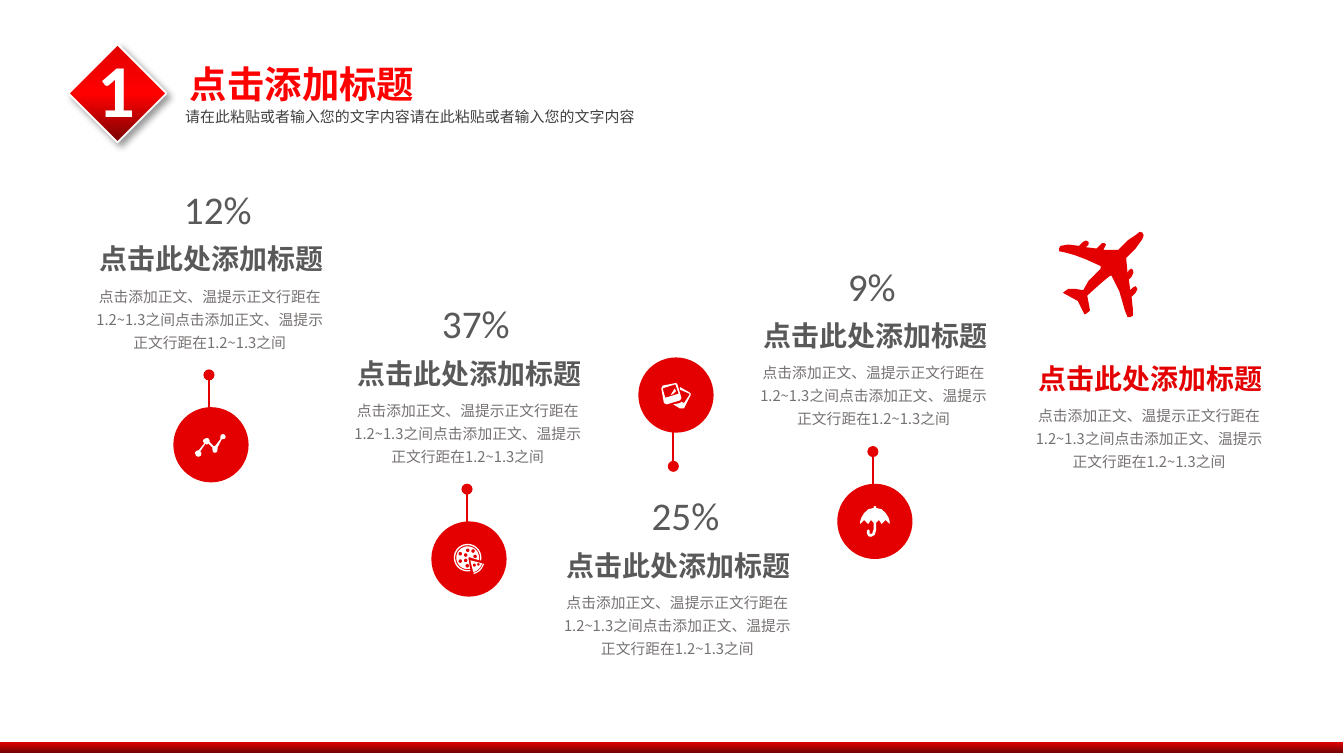
from dataclasses import dataclass
from math import cos, radians, sin

from pptx import Presentation
from pptx.dml.color import RGBColor
from pptx.enum.shapes import MSO_CONNECTOR, MSO_SHAPE
from pptx.enum.text import MSO_ANCHOR, PP_ALIGN
from pptx.oxml import parse_xml
from pptx.oxml.ns import nsdecls, qn
from pptx.util import Inches, Pt


@dataclass(frozen=True)
class Theme:
    red: str = "E40000"
    bright: str = "FF0000"
    light_end: str = "E30000"
    dark_end: str = "760303"
    white: str = "FFFFFF"
    ink: str = "404040"
    heading: str = "595959"
    muted: str = "767171"
    latin: str = "Calibri"
    cjk: str = "Noto Sans CJK SC"
    badge_size: float = 40
    title_size: float = 20
    number_size: float = 21
    heading_size: float = 15
    subtitle_size: float = 8
    body_size: float = 7.9
    body_pitch: float = 12.3


THEME = Theme()
WIDTH = Inches(10)
HEIGHT = WIDTH * 9 // 16
CELL = WIDTH // 100  # the page is a grid of 100 columns of square cells
FINE = 100  # freeform steps per icon unit
HEADING = "点击此处添加标题"
BODY = "点击添加正文、温提示正文行距在1.2~1.3之间" * 2


def cells(*counts):
    return [round(count * CELL) for count in counts]


def arc(x, y, radius, start, end, step=12):
    """Points along a circle, angles clockwise from the right."""
    count = max(2, round(abs(end - start) / step))
    angles = [radians(start + (end - start) * i / count) for i in range(count + 1)]
    return [(x + radius * cos(a), y + radius * sin(a)) for a in angles]


def ring(x, y, radius):
    return arc(x, y, radius, 0, 360, 30)


def band(x, y, outer, inner, start, end):
    return arc(x, y, outer, start, end) + arc(x, y, inner, end, start)


# Icons: shapes made of contours, in tenths of a cell
TREND = [[[
    (37, 20), (35.5, 20.6), (35, 22), (35, 24), (31, 29), (30, 29), (27, 26), (27, 25),
    (26.5, 23.5), (25, 23), (23, 23.6), (22, 25), (23, 27), (19, 32), (17, 32.6),
    (16, 34), (17, 36.4), (19, 37), (20.5, 36), (21, 34), (20, 33), (24, 27), (25, 28),
    (26, 27), (29, 30), (29, 31), (29.5, 33.4), (31, 34), (32.5, 33.4), (33, 31),
    (33, 30), (36, 24), (38.4, 23.5), (39, 22), (38.4, 20.6)]]]
TOPPINGS = [(21.5, 24), (21.5, 29.5), (25.5, 25), (25.5, 29), (26.7, 33), (27, 21.5),
            (31, 22), (32.5, 26)]
PIZZA = [
    [band(27, 27, 10.3, 9.3, 78, 372)],
    [arc(27, 27, 8.5, 78, 372) + [(28, 26.5), (27.5, 27)]]
    + [ring(x, y, 1.4) for x, y in TOPPINGS],
    [band(29, 29, 10.5, 9.6, 14, 76)],
    [[(29, 29)] + arc(29, 29, 9, 14, 76), ring(35, 32, 1), ring(32, 32.5, 1.2)],
]
PHOTOS = [
    [[(26, 27), (28, 25), (27, 23), (24, 28)]],
    [[(38, 26), (31, 22), (31, 24), (38, 27), (38, 28), (34, 34), (32, 33), (31, 34),
      (26, 35), (31, 38), (34, 38), (39, 28), (39, 27)]],
    [[(32, 30), (29, 20), (28, 19), (18, 21), (17, 23), (19, 34), (21, 35), (31, 32)],
     [(20, 30), (18, 23), (27.5, 20), (30, 27)]],
]
UMBRELLA = [[[
    (23, 30), (25, 27), (27, 29), (27, 34), (26, 37), (25, 37.4), (24, 37), (24, 35),
    (23, 34), (22, 35), (22, 37), (23, 39), (25, 39.5), (28, 38), (29, 34), (29, 29),
    (31, 27), (33, 30), (36, 27), (39, 30), (39, 28), (38, 25), (36, 21.8), (33, 19),
    (29, 18), (29, 17), (28, 16.5), (27, 17), (27, 18), (23, 19), (20, 21.8), (18, 25),
    (17, 28), (17, 30), (20, 27)]]]
PLANE = [[[
    (33, 14), (34, 12), (35, 10), (34, 9), (32, 9), (28, 13), (20, 12), (22, 10),
    (22, 8), (20, 7), (18, 8), (15, 11), (7, 10), (1, 11), (0, 13), (0, 15), (5, 16),
    (12, 18), (20, 21), (31, 26), (31, 28), (29, 30), (22, 37), (18, 44), (12, 43),
    (7, 43), (4, 45), (3, 46), (14, 52), (17, 58), (19, 62), (21, 61), (23, 59),
    (22, 53), (21, 48), (31, 39), (37, 34), (39, 33), (40, 35), (45, 45), (49, 59),
    (51, 64), (53, 64), (55, 63), (55, 58), (54, 49), (57, 46), (58.4, 43), (57, 41),
    (55, 42), (53, 44), (52, 36), (54, 34), (55.4, 31), (55, 29), (54, 28), (52, 29),
    (51, 31), (50, 20), (57, 13), (62, 6), (63, 3), (62, 1), (60, 0.6), (57, 3),
    (51, 7), (44, 14)]]]


def paint(shape, colour):
    shape.shadow.inherit = False
    shape.fill.solid()
    shape.fill.fore_color.rgb = RGBColor.from_string(colour)
    shape.line.fill.background()


def paint_gradient(shape, stops):
    shape.shadow.inherit = False
    shape.line.fill.background()
    shape.fill.gradient()
    shape.fill.gradient_angle = 270
    stop_list = shape._element.spPr.find(".//" + qn("a:gsLst"))
    for stop in list(stop_list):
        stop_list.remove(stop)
    for percent, colour in stops:
        stop_list.append(parse_xml(
            f'<a:gs {nsdecls("a")} pos="{percent * 1000}"><a:srgbClr val="{colour}"/></a:gs>'))


def write(box, text, size, colour, font=THEME.cjk, bold=False, align=PP_ALIGN.LEFT,
          wrap=False, anchor=MSO_ANCHOR.TOP, pitch=None):
    frame = box.text_frame
    frame.word_wrap = wrap
    frame.vertical_anchor = anchor
    para = frame.paragraphs[0]
    para.alignment = align
    if pitch:
        para.line_spacing = Pt(pitch)
    span = para.add_run()
    span.text = text
    span.font.name = font
    span.font.size = Pt(size)
    span.font.bold = bold
    span.font.color.rgb = RGBColor.from_string(colour)
    span.font._element.append(
        parse_xml(f'<a:ea {nsdecls("a")} typeface="{THEME.cjk}"/>'))


def label(page, box, *args, **style):
    write(page.shapes.add_textbox(*cells(*box)), *args, **style)


def draw_icon(page, left, top, icon, colour):
    for contours in icon:
        first, *holes = [[(x * FINE, y * FINE) for x, y in line] for line in contours]
        builder = page.shapes.build_freeform(*first[0], scale=CELL / 10 / FINE)
        builder.add_line_segments(first[1:])
        for hole in holes:
            builder.move_to(*hole[0])
            builder.add_line_segments(hole[1:])
        paint(builder.convert_to_shape(*cells(left, top)), colour)


def add_header(page, left, top):
    # Numbered diamond
    diamond = page.shapes.add_shape(MSO_SHAPE.DIAMOND, *cells(left, top, 7.3, 7.3))
    paint_gradient(diamond, [(0, THEME.light_end), (51, THEME.bright), (100, THEME.dark_end)])
    diamond.line.color.rgb = RGBColor.from_string(THEME.white)
    diamond.line.width = Pt(1)
    diamond._element.spPr.find(qn("a:effectLst")).append(parse_xml(
        f'<a:outerShdw {nsdecls("a")} blurRad="{Pt(4)}" dist="{Pt(3)}" dir="2700000" '
        'algn="tl" rotWithShape="0"><a:srgbClr val="000000"><a:alpha val="40000"/>'
        '</a:srgbClr></a:outerShdw>'))
    label(page, (left + 1.2, top - 0.6, 3.1, 7.7), "1", THEME.badge_size, THEME.white,
          font=THEME.latin, bold=True)
    # Title and subtitle
    title = page.shapes.title
    title.left, title.top, title.width, title.height = cells(left + 7.6, top + 0.8, 20.2, 4.3)
    write(title, "点击添加标题 ", THEME.title_size, THEME.bright, bold=True,
          align=PP_ALIGN.CENTER, anchor=MSO_ANCHOR.MIDDLE)
    label(page, (left + 7.7, top + 4.2, 48.3, 3.7), "请在此粘贴或者输入您的文字内容" * 2,
          THEME.subtitle_size, THEME.ink, wrap=True)


def add_copy(page, left, top, colour):
    label(page, (left + 0.5, top, 18.8, 3.5), HEADING, THEME.heading_size, colour,
          font=THEME.latin, bold=True, anchor=MSO_ANCHOR.MIDDLE)
    label(page, (left, top + 3, 19.4, 6.1), BODY, THEME.body_size, THEME.muted,
          align=PP_ALIGN.CENTER, wrap=True, pitch=THEME.body_pitch)


def add_pin(page, left, top, icon, stem, tip, root):
    disc = page.shapes.add_shape(MSO_SHAPE.OVAL, *cells(left, top, 5.6, 5.6))
    paint(disc, THEME.red)
    line = page.shapes.add_connector(
        MSO_CONNECTOR.STRAIGHT, *cells(left + stem, top + tip, left + stem, top + root))
    line.line.color.rgb = RGBColor.from_string(THEME.red)
    line.line.width = Pt(1)
    line.line._get_or_add_ln().append(parse_xml(f'<a:headEnd {nsdecls("a")} type="oval"/>'))
    line._element.spPr.append(parse_xml(f'<a:effectLst {nsdecls("a")}/>'))
    draw_icon(page, left, top, icon, THEME.white)


def add_step(page, left, top, number, icon, pin_above=False):
    if pin_above:
        add_pin(page, left + 6.8, top - 13.7, icon, 2.6, 8.1, 4)
    else:
        add_pin(page, left + 7, top + 12.8, icon, 2.65, -2.4, 1.7)
    label(page, (left + 6.8, top - 4.2, 7.8, 4.5), number, THEME.number_size,
          THEME.heading, font=THEME.latin)
    add_copy(page, left, top, THEME.heading)


def main():
    deck = Presentation()
    deck.slide_width, deck.slide_height = WIDTH, HEIGHT
    page = deck.slides.add_slide(deck.slide_layouts[5])
    add_header(page, 5.1, 3.3)
    # Four steps
    add_step(page, 5.9, 17.5, "12%", TREND)
    add_step(page, 25.1, 26, "37%", PIZZA)
    add_step(page, 40.7, 40.3, "25%", PHOTOS, pin_above=True)
    add_step(page, 55.3, 23.2, "9%", UMBRELLA)
    # Destination
    draw_icon(page, 78.8, 17.2, PLANE, THEME.red)
    add_copy(page, 75.8, 26.4, THEME.red)
    # Footer bar
    bar = page.shapes.add_shape(MSO_SHAPE.RECTANGLE, *cells(0, 55.2, 99.9, 0.8))
    paint_gradient(bar, [(0, THEME.light_end), (100, THEME.dark_end)])
    deck.save("out.pptx")


if __name__ == "__main__":
    main()
